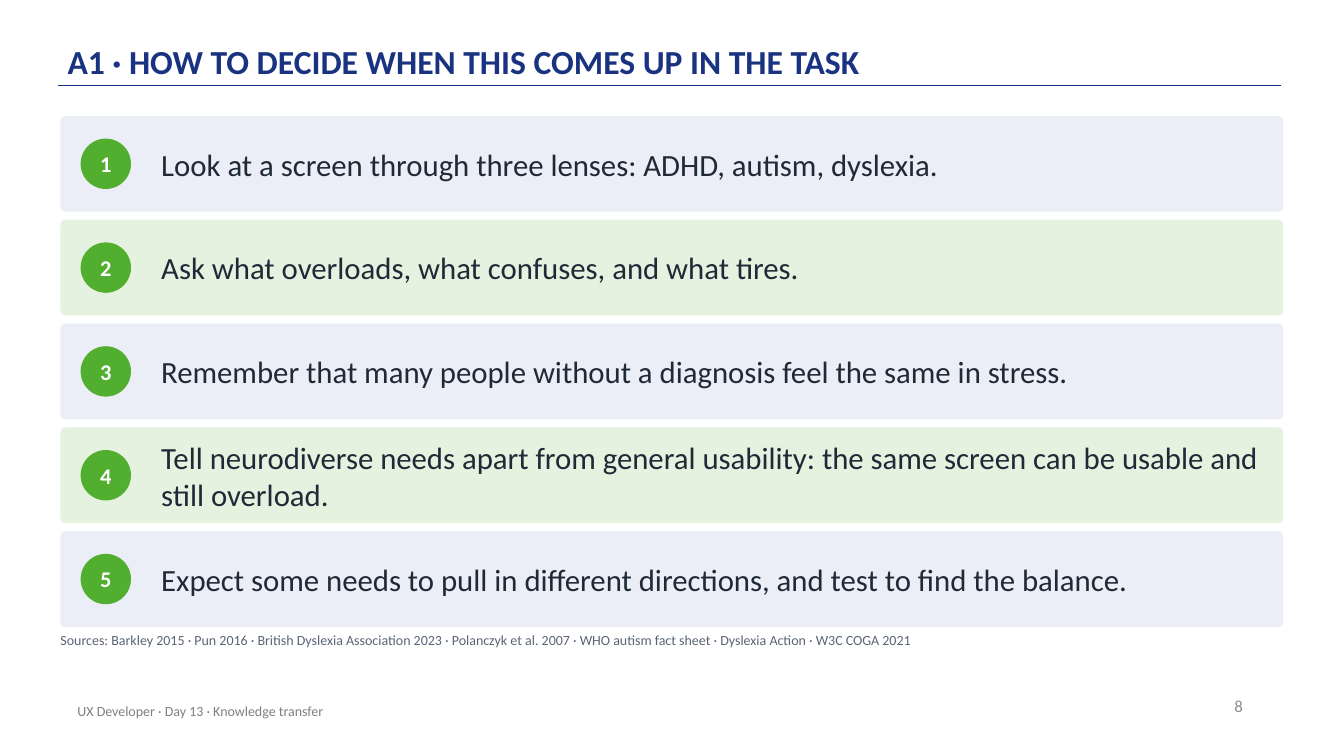
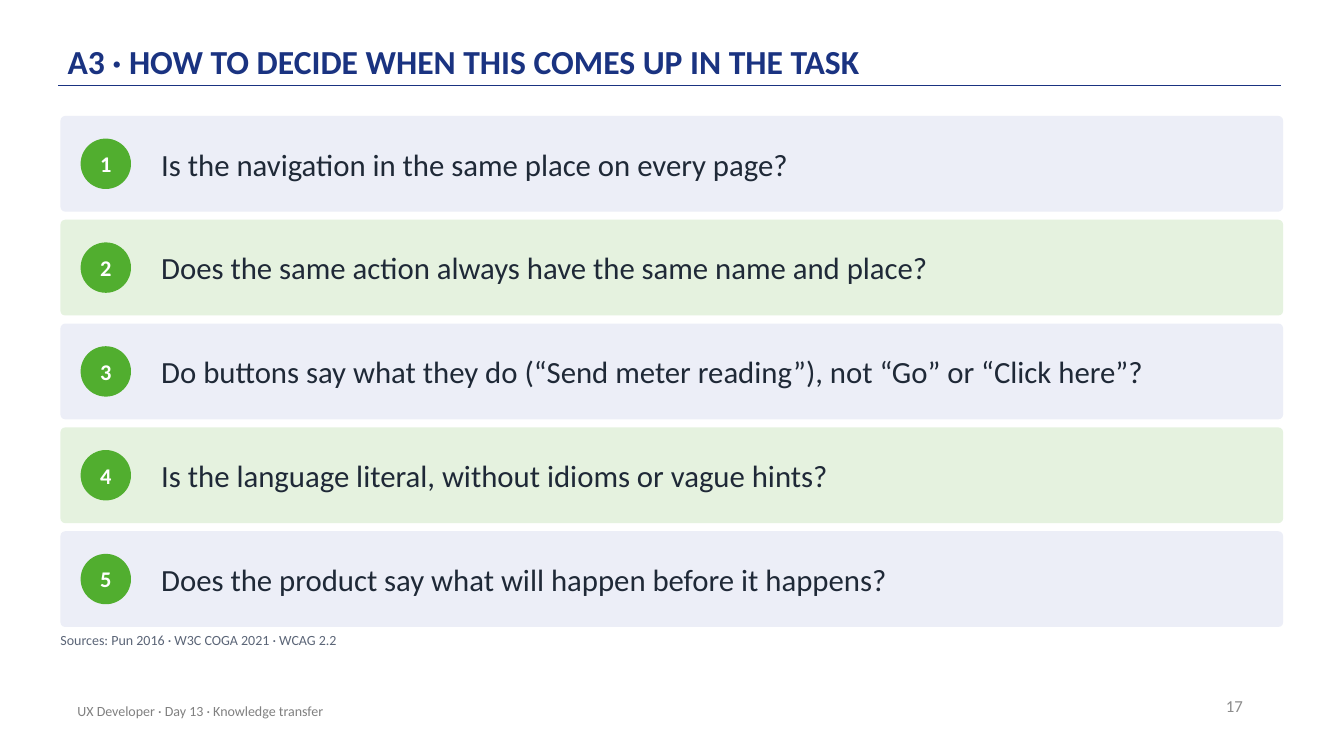
import pptx
import pptx.dml.color
import pptx.enum.shapes
import pptx.enum.text
import pptx.oxml
import pptx.util

PX = 9144  # 100 px to the inch
FONT = "Calibri"
NAVY, GREEN, WHITE, INK, SLATE = "1A3381", "51AE2F", "FFFFFF", "1F2937", "5B6577"
NUMBER_GRAY, FOOTER_GRAY = "8C8C8C", "808080"
BAND_FILLS = ("ECEEF7", "E5F2DF")

TITLE = "{} · HOW TO DECIDE WHEN THIS COMES UP IN THE TASK"
FOOTER = "UX Developer · Day 13 · Knowledge transfer"
SLIDES = [
    {
        "topic": "A1",
        "number": 8,
        "steps": [
            "Look at a screen through three lenses: ADHD, autism, dyslexia.",
            "Ask what overloads, what confuses, and what tires.",
            "Remember that many people without a diagnosis feel the same in stress.",
            "Tell neurodiverse needs apart from general usability: "
            "the same screen can be usable and still overload.",
            "Expect some needs to pull in different directions, and test to find the balance.",
        ],
        "sources": "Sources: Barkley 2015 · Pun 2016 · British Dyslexia Association 2023 · "
                   "Polanczyk et al. 2007 · WHO autism fact sheet · Dyslexia Action · W3C COGA 2021",
    },
    {
        "topic": "A3",
        "number": 17,
        "steps": [
            "Is the navigation in the same place on every page?",
            "Does the same action always have the same name and place?",
            "Do buttons say what they do (“Send meter reading”), not “Go” or “Click here”?",
            "Is the language literal, without idioms or vague hints?",
            "Does the product say what will happen before it happens?",
        ],
        "sources": "Sources: Pun 2016 · W3C COGA 2021 · WCAG 2.2",
    },
]

BAND_LEFT, BAND_TOP, BAND_WIDTH, BAND_HEIGHT, BAND_GAP = 60, 115, 1213, 95, 8
BADGE_LEFT, BADGE_SIZE = 80, 50
STEP_LEFT, STEP_WIDTH = 160, 1093

SHAPE = pptx.enum.shapes.MSO_SHAPE
ANCHOR = pptx.enum.text.MSO_ANCHOR
ALIGN = pptx.enum.text.PP_ALIGN


def px(*lengths):
    return [pptx.util.Emu(int(length * PX)) for length in lengths]


def rgb(color):
    return pptx.dml.color.RGBColor.from_string(color)


def write(shape, text, size, color, bold=False, align=ALIGN.LEFT,
          anchor=ANCHOR.MIDDLE, insets=(0, 0), line_spacing=None, after=None):
    """Fill a shape with one formatted paragraph; insets are (sides, top and bottom)."""
    frame = shape.text_frame
    frame.text = text
    frame.word_wrap = True
    frame.auto_size = pptx.enum.text.MSO_AUTO_SIZE.NONE
    frame.vertical_anchor = anchor
    side, end = px(*insets)
    frame.margin_left = frame.margin_right = side
    frame.margin_top = frame.margin_bottom = end
    paragraph = frame.paragraphs[0]
    paragraph.alignment = align
    if line_spacing:
        paragraph.line_spacing = line_spacing
    if after:
        paragraph.space_after = pptx.util.Pt(after)
    font = paragraph.runs[0].font
    font.name, font.size, font.bold = FONT, pptx.util.Pt(size), bold
    font.color.rgb = rgb(color)


def add_text(slide, box, text, **text_format):
    write(slide.shapes.add_textbox(*px(*box)), text, **text_format)


def add_solid(slide, kind, box, fill):
    """Add a preset shape with a plain fill, no outline and no shadow."""
    shape = slide.shapes.add_shape(kind, *px(*box))
    shape.shadow.inherit = False
    shape.fill.solid()
    shape.fill.fore_color.rgb = rgb(fill)
    shape.line.fill.background()
    return shape


def add_frame(slide, topic, number):
    """Add the title, its rule, the slide number and the footer."""
    rule = slide.shapes.add_connector(
        pptx.enum.shapes.MSO_CONNECTOR.STRAIGHT, *px(58, 85, 1271, 85))
    rule.line.color.rgb = rgb(NAVY)
    rule.line.width = pptx.util.Pt(1)
    properties = rule._element.spPr
    properties.append(pptx.oxml.parse_xml(
        '<a:effectLst xmlns:a="http://schemas.openxmlformats.org/drawingml/2006/main"/>'))

    title = slide.shapes.title
    title.left, title.top, title.width, title.height = px(67, 12, 1100, 72)
    write(title, TITLE.format(topic), size=24, color=NAVY, bold=True,
          anchor=ANCHOR.BOTTOM, insets=(0, 3), line_spacing=0.9)
    add_text(slide, (943, 680, 300, 40), str(number), size=12, color=NUMBER_GRAY,
             align=ALIGN.RIGHT, insets=(10, 5))
    add_text(slide, (67, 685, 670, 40), FOOTER, size=10, color=FOOTER_GRAY, insets=(10, 5))


def add_step(slide, index, step):
    """Add one coloured band with its numbered badge and text."""
    top = BAND_TOP + index * (BAND_HEIGHT + BAND_GAP)
    band = add_solid(slide, SHAPE.ROUNDED_RECTANGLE,
                     (BAND_LEFT, top, BAND_WIDTH, BAND_HEIGHT),
                     BAND_FILLS[index % len(BAND_FILLS)])
    band.adjustments[0] = 0.05
    badge_top = top + (BAND_HEIGHT - BADGE_SIZE) / 2
    badge = add_solid(slide, SHAPE.OVAL,
                      (BADGE_LEFT, badge_top, BADGE_SIZE, BADGE_SIZE), GREEN)
    write(badge, str(index + 1), size=16, color=WHITE, bold=True, align=ALIGN.CENTER)
    add_text(slide, (STEP_LEFT, top, STEP_WIDTH, BAND_HEIGHT), step, size=22, color=INK)


def main():
    deck = pptx.Presentation()
    deck.slide_width, deck.slide_height = px(1333.33, 750)
    title_only = deck.slide_layouts[5]
    for content in SLIDES:
        slide = deck.slides.add_slide(title_only)
        add_frame(slide, content["topic"], content["number"])
        for index, step in enumerate(content["steps"]):
            add_step(slide, index, step)
        add_text(slide, (BAND_LEFT, 627, 1210, 30), content["sources"],
                 size=10, color=SLATE, anchor=ANCHOR.TOP, after=6)
    deck.save("out.pptx")


if __name__ == "__main__":
    main()
